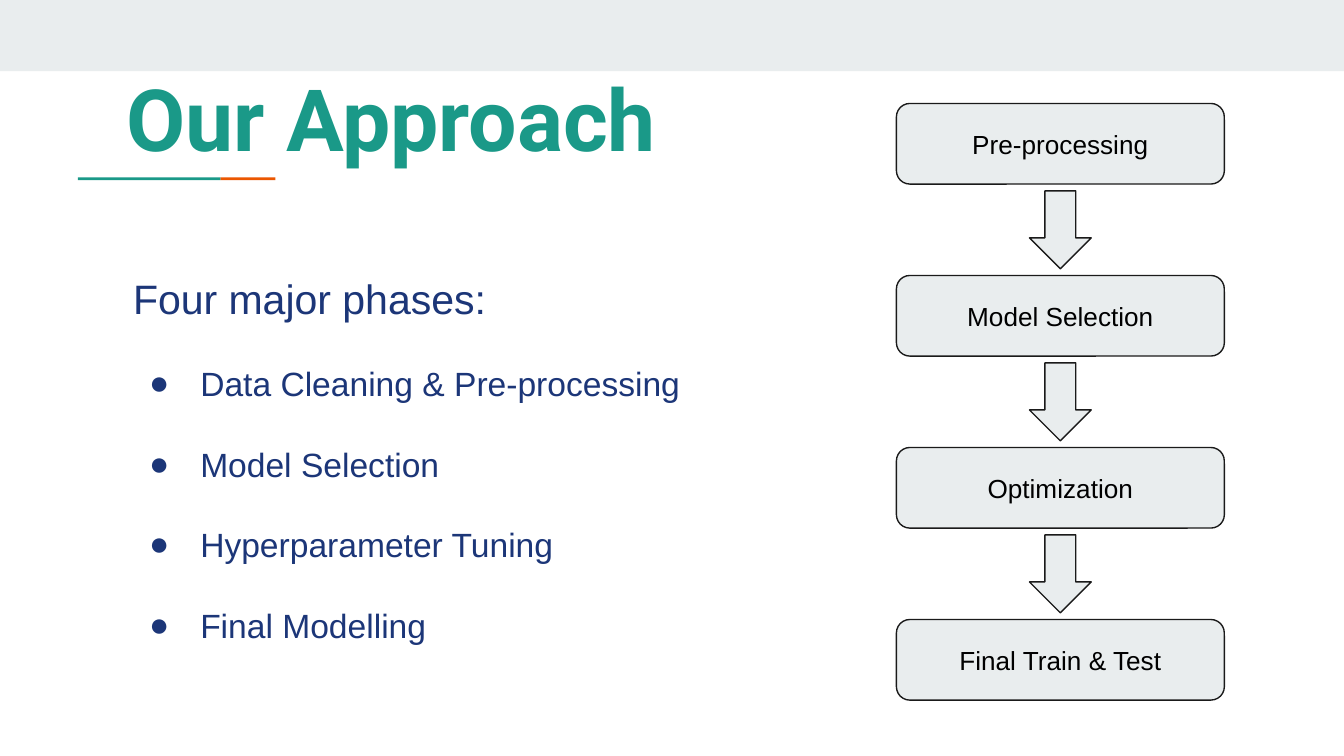
from dataclasses import dataclass

from lxml.etree import SubElement
from pptx import Presentation
from pptx.dml.color import RGBColor
from pptx.enum.shapes import MSO_SHAPE
from pptx.enum.text import MSO_ANCHOR, MSO_AUTO_SIZE, PP_ALIGN
from pptx.oxml.ns import qn
from pptx.shapes.autoshape import Shape
from pptx.slide import Slide
from pptx.text.text import TextFrame
from pptx.util import Inches, Pt


@dataclass(frozen=True)
class Theme:
    teal: str = "1A9988"
    orange: str = "EB5600"
    navy: str = "1C3678"
    panel: str = "E9EDEE"
    outline: str = "1A1A1A"
    black: str = "000000"
    title_font: str = "Roboto"
    body_font: str = "Arial"
    title_size: float = 46
    lead_size: float = 22
    list_size: float = 18
    step_size: float = 14
    outline_width: float = 0.75


@dataclass(frozen=True)
class Area:
    left: float
    top: float
    width: float
    height: float


THEME = Theme()
PAGE_WIDTH = 10
PAGE_HEIGHT = PAGE_WIDTH * 9 / 16
TITLE_AREA = Area(0.87, 0.45, 4.39, 0.85)
BODY_AREA = Area(0.92, 1.81, 4.28, 2.75)
STEP_PITCH = 1.28
PHASES = ["Data Cleaning & Pre-processing", "Model Selection",
          "Hyperparameter Tuning", "Final Modelling"]
STEPS = ["Pre-processing", "Model Selection", "Optimization", "Final Train & Test"]


def place(shape: Shape, area: Area) -> None:
    shape.left, shape.top = Inches(area.left), Inches(area.top)
    shape.width, shape.height = Inches(area.width), Inches(area.height)


def set_frame(frame: TextFrame, horizontal: float, vertical: float,
              anchor: MSO_ANCHOR) -> None:
    frame.margin_left = frame.margin_right = Inches(horizontal)
    frame.margin_top = frame.margin_bottom = Inches(vertical)
    frame.vertical_anchor = anchor
    frame.word_wrap = True
    frame.auto_size = MSO_AUTO_SIZE.NONE


def write(frame: TextFrame, text: str, *, size: float, color: str,
          font: str = THEME.body_font, bold: bool = False,
          align: PP_ALIGN = PP_ALIGN.LEFT, spacing: float = 1.0,
          bullet: str = "") -> None:
    para = frame.paragraphs[0] if not frame.text else frame.add_paragraph()
    para.alignment = align
    para.line_spacing = spacing
    para.space_before = para.space_after = Pt(0)
    properties = para._p.get_or_add_pPr()
    properties.set("marL", str(Inches(0.5) if bullet else 0))
    properties.set("indent", str(Inches(-0.38) if bullet else 0))
    if bullet:
        bullet_color = SubElement(properties, qn("a:buClr"))
        SubElement(bullet_color, qn("a:srgbClr"), val=color)
        SubElement(properties, qn("a:buFont"), typeface=font)
        SubElement(properties, qn("a:buChar"), char=bullet)
    else:
        SubElement(properties, qn("a:buNone"))
    span = para.add_run()
    span.text = text
    span.font.name = font
    span.font.size = Pt(size)
    span.font.bold = bold
    span.font.color.rgb = RGBColor.from_string(color)


def draw_shape(page: Slide, kind: MSO_SHAPE, area: Area, fill: str,
               outline: str = "") -> Shape:
    shape = page.shapes.add_shape(kind, Inches(area.left), Inches(area.top),
                                  Inches(area.width), Inches(area.height))
    shape.shadow.inherit = False
    shape.fill.solid()
    shape.fill.fore_color.rgb = RGBColor.from_string(fill)
    if outline:
        shape.line.color.rgb = RGBColor.from_string(outline)
        shape.line.width = Pt(THEME.outline_width)
    else:
        shape.line.fill.background()
    return shape


def draw_step(page: Slide, index: int, text: str) -> None:
    area = Area(6.67, 0.77 + index * STEP_PITCH, 2.44, 0.6)
    box = draw_shape(page, MSO_SHAPE.ROUNDED_RECTANGLE, area, THEME.panel, THEME.outline)
    set_frame(box.text_frame, 0.1, 0.1, MSO_ANCHOR.MIDDLE)
    write(box.text_frame, text, size=THEME.step_size, color=THEME.black,
          align=PP_ALIGN.CENTER)


def draw_arrow(page: Slide, index: int) -> None:
    area = Area(7.66, 1.42 + index * STEP_PITCH, 0.46, 0.58)
    draw_shape(page, MSO_SHAPE.DOWN_ARROW, area, THEME.panel, THEME.outline)


def fill_placeholders(page: Slide) -> None:
    title, body = page.shapes.title, page.placeholders[1]
    place(title, TITLE_AREA)
    place(body, BODY_AREA)
    for box in (title, body):
        set_frame(box.text_frame, 0.07, 0.04, MSO_ANCHOR.TOP)
    write(title.text_frame, "Our Approach", size=THEME.title_size,
          color=THEME.teal, font=THEME.title_font, bold=True)
    write(body.text_frame, "Four major phases:", size=THEME.lead_size,
          color=THEME.navy, spacing=1.5)
    for phase in PHASES:
        write(body.text_frame, phase, size=THEME.list_size, color=THEME.navy,
              spacing=2.0, bullet="●")


def main() -> None:
    deck = Presentation()
    deck.slide_width, deck.slide_height = Inches(PAGE_WIDTH), Inches(PAGE_HEIGHT)
    page = deck.slides.add_slide(deck.slide_layouts[1])
    draw_shape(page, MSO_SHAPE.RECTANGLE, Area(0, 0, PAGE_WIDTH, 0.53), THEME.panel)
    draw_shape(page, MSO_SHAPE.RECTANGLE, Area(1.64, 1.32, 0.41, 0.02), THEME.orange)
    draw_shape(page, MSO_SHAPE.RECTANGLE, Area(0.58, 1.32, 1.06, 0.02), THEME.teal)
    fill_placeholders(page)
    for index, step in enumerate(STEPS):
        draw_step(page, index, step)
    for index in range(len(STEPS) - 1):
        draw_arrow(page, index)
    deck.save("out.pptx")


if __name__ == "__main__":
    main()
